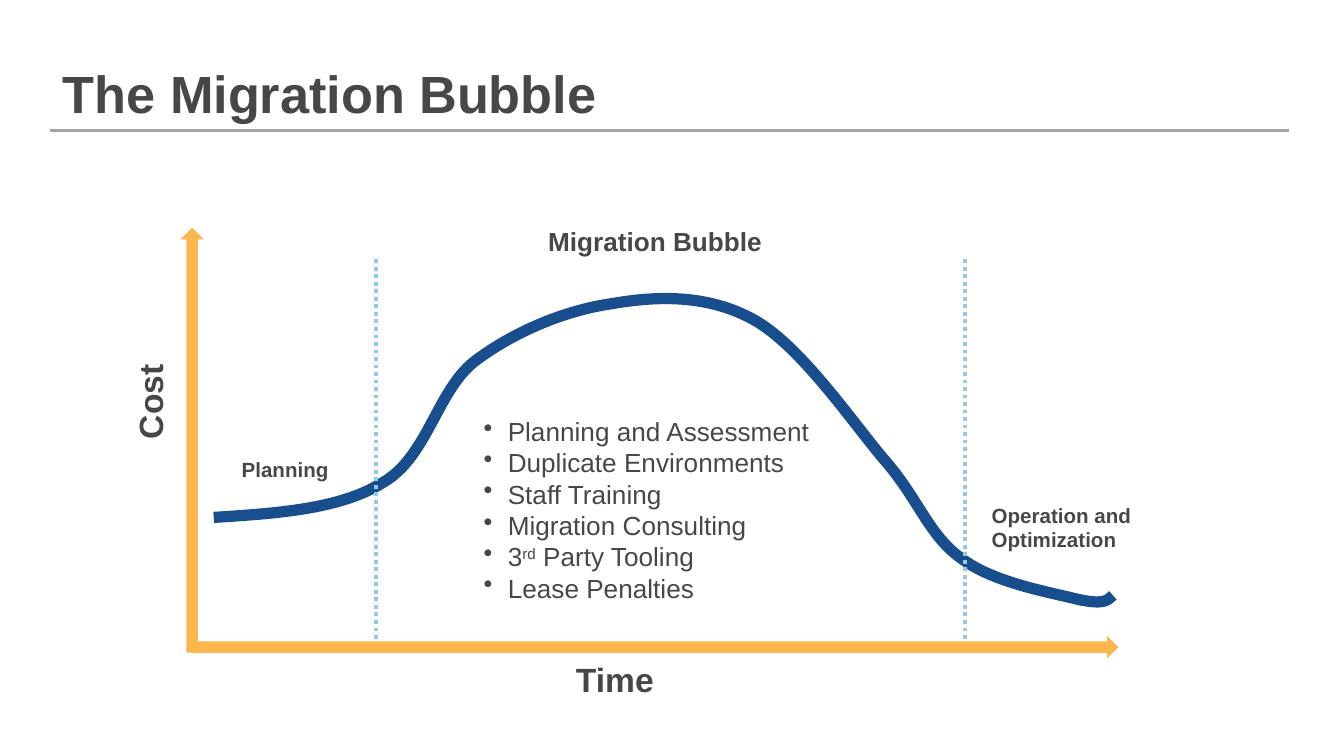
from dataclasses import dataclass

from pptx import Presentation
from pptx import util as u
from pptx.dml.color import RGBColor
from pptx.enum import dml, shapes, text
from pptx.oxml import ns, xmlchemy

PX = 9144  # EMU per px, 100 px to the inch
SLIDE_WIDTH = 1000 * PX
SLIDE_HEIGHT = SLIDE_WIDTH * 9 // 16
FONT = "Arial"
GREY = RGBColor(0x47, 0x47, 0x46)
RULE_GREY = RGBColor(0xA3, 0xA3, 0xA2)
ORANGE = RGBColor(0xFC, 0xB6, 0x4C)
NAVY = RGBColor(0x18, 0x4E, 0x8D)
SKY = RGBColor(0x94, 0xC9, 0xE2)
LEFT, CENTER = text.PP_ALIGN.LEFT, text.PP_ALIGN.CENTER
TOP, BOTTOM = text.MSO_ANCHOR.TOP, text.MSO_ANCHOR.BOTTOM


@dataclass(frozen=True)
class Box:
    x: int
    y: int
    w: int
    h: int
    turn: int = 0

    def emu(self) -> list[int]:
        return [side * PX for side in (self.x, self.y, self.w, self.h)]


@dataclass(frozen=True)
class Label:
    words: str
    box: Box
    size: int
    align: text.PP_ALIGN = LEFT
    anchor: text.MSO_ANCHOR = TOP


@dataclass(frozen=True)
class Rule:
    start: tuple[int, int]
    end: tuple[int, int]
    color: RGBColor
    width: float
    dotted: bool = False


LABELS = [
    Label("The Migration Bubble", Box(37, 13, 897, 84), 28, anchor=BOTTOM),
    Label("Cost", Box(-44, 275, 319, 48, 270), 18, CENTER),
    Label("Time", Box(298, 485, 319, 48), 18, CENTER),
    Label("Planning", Box(170, 335, 110, 34), 11),
    Label("Migration Bubble", Box(285, 163, 405, 40), 14, CENTER),
    Label("Operation and Optimization", Box(728, 369, 152, 56), 11),
]
TITLE_RULE = Rule((37, 97), (959, 97), RULE_GREY, 1.5)
PHASE_LIMITS = [Rule((x, 193), (x, 477), SKY, 2, True) for x in (280, 718)]
AXES = [Box(-15, 319, 316, 17, 270), Box(143, 473, 689, 17)]

# Start point, then two handles and an end point for each bend
COST_CURVE = [
    (159, 385),
    (206, 382), (253, 379), (285, 359),
    (318, 340), (325, 291), (353, 269),
    (382, 247), (420, 231), (455, 226),
    (489, 220), (527, 219), (561, 238),
    (595, 257), (632, 311), (657, 341),
    (683, 370), (691, 399), (716, 416),
    (740, 434), (783, 441), (802, 446),
    (821, 450), (824, 447), (828, 443),
]

# Each cost is a list of (words, is superscript)
COSTS_BOX = Box(350, 304, 327, 151)
COSTS = [
    [("Planning and Assessment", False)],
    [("Duplicate Environments", False)],
    [("Staff Training", False)],
    [("Migration Consulting", False)],
    [("3", False), ("rd", True), (" Party Tooling", False)],
    [("Lease Penalties", False)],
]


def add_frame(slide, box: Box, anchor: text.MSO_ANCHOR = TOP):
    holder = slide.shapes.add_textbox(*box.emu())
    holder.rotation = box.turn
    frame = holder.text_frame
    frame.word_wrap = True
    frame.vertical_anchor = anchor
    return frame


def add_run(paragraph, words: str, size: int, bold: bool = False):
    run = paragraph.add_run()
    run.text = words
    run.font.name = FONT
    run.font.size = u.Pt(size)
    run.font.bold = bold
    run.font.color.rgb = GREY
    return run


def add_label(slide, label: Label) -> None:
    paragraph = add_frame(slide, label.box, label.anchor).paragraphs[0]
    paragraph.alignment = label.align
    add_run(paragraph, label.words, label.size, bold=True)


def add_rule(slide, rule: Rule) -> None:
    ends = [value * PX for value in rule.start + rule.end]
    connector = slide.shapes.add_connector(shapes.MSO_CONNECTOR.STRAIGHT, *ends)
    connector.line.color.rgb = rule.color
    connector.line.width = u.Pt(rule.width)
    if rule.dotted:
        connector.line.dash_style = dml.MSO_LINE.ROUND_DOT
    connector._element.spPr.append(xmlchemy.OxmlElement("a:effectLst"))


def add_axis(slide, box: Box) -> None:
    arrow = slide.shapes.add_shape(shapes.MSO_SHAPE.RIGHT_ARROW, *box.emu())
    arrow.rotation = box.turn
    arrow.shadow.inherit = False
    arrow.fill.solid()
    arrow.fill.fore_color.rgb = ORANGE
    arrow.line.fill.background()


def add_curve(slide, points: list[tuple[int, int]]) -> None:
    builder = slide.shapes.build_freeform(*points[0], scale=PX)
    builder.add_line_segments(points[1:], close=False)
    curve = builder.convert_to_shape()
    curve.shadow.inherit = False
    curve.fill.background()
    curve.line.color.rgb = NAVY
    curve.line.width = u.Pt(6)
    # Merge every three straight segments into one Bézier bend
    segments = list(curve._element.iter(ns.qn("a:lnTo")))
    for first in range(0, len(segments), 3):
        bend = xmlchemy.OxmlElement("a:cubicBezTo")
        segments[first].addprevious(bend)
        for segment in segments[first:first + 3]:
            bend.append(segment[0])
            segment.getparent().remove(segment)


def add_costs(slide) -> None:
    frame = add_frame(slide, COSTS_BOX)
    for index, parts in enumerate(COSTS):
        paragraph = frame.add_paragraph() if index else frame.paragraphs[0]
        properties = paragraph._p.get_or_add_pPr()
        properties.set("marL", str(18 * PX))
        properties.set("indent", str(-18 * PX))
        bullet = xmlchemy.OxmlElement("a:buChar")
        bullet.set("char", "•")
        properties.append(bullet)
        for words, raised in parts:
            run = add_run(paragraph, words, 14)
            if raised:
                run._r.get_or_add_rPr().set("baseline", "30000")


def main() -> None:
    deck = Presentation()
    deck.slide_width, deck.slide_height = SLIDE_WIDTH, SLIDE_HEIGHT
    slide = deck.slides.add_slide(deck.slide_layouts[6])

    # Heading rule and chart, back to front
    add_rule(slide, TITLE_RULE)
    for axis in AXES:
        add_axis(slide, axis)
    add_curve(slide, COST_CURVE)
    for limit in PHASE_LIMITS:
        add_rule(slide, limit)

    # Wording
    for label in LABELS:
        add_label(slide, label)
    add_costs(slide)

    deck.save("out.pptx")


if __name__ == "__main__":
    main()
